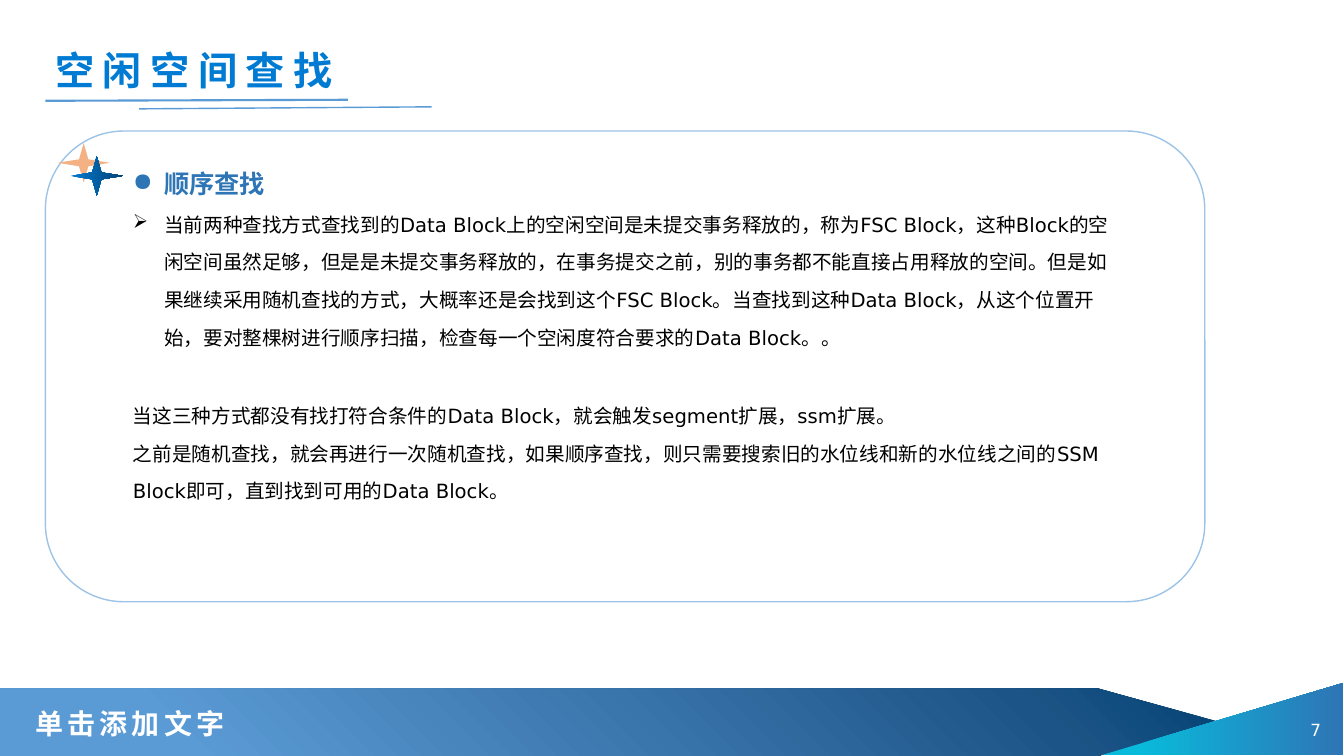
from lxml.etree import SubElement
from pptx import Presentation
from pptx.dml.color import RGBColor
from pptx.enum.shapes import MSO_CONNECTOR, MSO_SHAPE
from pptx.enum.text import MSO_ANCHOR, MSO_AUTO_SIZE, PP_ALIGN
from pptx.oxml.ns import qn
from pptx.util import Inches, Pt

WHITE = RGBColor(0xFF, 0xFF, 0xFF)
BLACK = RGBColor(0, 0, 0)
BRIGHT = RGBColor(0x00, 0x7B, 0xD3)
NAVY = RGBColor(0x03, 0x43, 0x73)
DEEP = RGBColor(0x1D, 0x54, 0x87)
MID = RGBColor(0x2E, 0x75, 0xB6)
SKY = RGBColor(0x5B, 0x9B, 0xD5)
PALE = RGBColor(0x9D, 0xC3, 0xE6)
CYAN = RGBColor(0x09, 0xBB, 0xDB)
PEACH = RGBColor(0xF4, 0xB1, 0x83)


def add_block(kind, box, stops):
    sp = s.shapes.add_shape(kind, *[Inches(v) for v in box])
    sp.shadow.inherit = False
    sp.line.fill.background()
    if len(stops) == 1:
        sp.fill.solid()
        sp.fill.fore_color.rgb = stops[0][1]
        return sp
    sp.fill.gradient()
    grad = sp._element.spPr.find(qn("a:gradFill"))
    for child in list(grad):
        grad.remove(child)
    gs_lst = SubElement(grad, qn("a:gsLst"))
    for pos, color in stops:
        gs = SubElement(gs_lst, qn("a:gs"), pos=str(pos * 1000))
        SubElement(gs, qn("a:srgbClr"), val=str(color))
    if kind == MSO_SHAPE.PENTAGON:
        center = SubElement(grad, qn("a:path"), {"path": "circle"})
        SubElement(center, qn("a:fillToRect"), t="100000", r="100000")
    else:
        angle = "5400000" if kind == MSO_SHAPE.RIGHT_TRIANGLE else "0"
        SubElement(grad, qn("a:lin"), ang=angle, scaled="0")
    return sp


def write(sp, box, paragraphs, wrap=True, anchor=MSO_ANCHOR.TOP):
    sp.left, sp.top, sp.width, sp.height = [Inches(v) for v in box]
    tf = sp.text_frame
    tf.word_wrap = wrap
    tf.auto_size = MSO_AUTO_SIZE.SHAPE_TO_FIT_TEXT
    tf.vertical_anchor = anchor
    for i, (text, size, color, bold, spacing, align, bullet, tracking) in enumerate(paragraphs):
        p = tf.add_paragraph() if i else tf.paragraphs[0]
        if bullet:
            pPr = p._p.get_or_add_pPr()
            pPr.set("marL", str(Inches(0.31)))
            pPr.set("indent", str(-Inches(0.31)))
            SubElement(pPr, qn("a:buChar"), char=bullet)
        p.alignment = align
        p.line_spacing = spacing
        p.space_before = Pt(0)
        r = p.add_run()
        r.text = text
        for name, value in {"name": "DejaVu Sans", "size": Pt(size), "bold": bold}.items():
            setattr(r.font, name, value)
        r.font.color.rgb = color
        if tracking:
            r._r.get_or_add_rPr().set("spc", str(tracking * 100))


prs = Presentation()
prs.slide_width, prs.slide_height = Inches(13.33), Inches(7.5)
s = prs.slides.add_slide(prs.slide_layouts[5])
LEFT = PP_ALIGN.LEFT

band = add_block(MSO_SHAPE.PENTAGON, (0, 6.83, 12.1, 0.67), [(15, SKY), (84, DEEP), (100, NAVY)])
band.adjustments[0] = 1.81
corner = add_block(MSO_SHAPE.RIGHT_TRIANGLE, (11.76, 5.93, 0.72, 2.41), [(15, CYAN), (100, MID)])
corner.rotation = 270

write(s.shapes.add_textbox(0, 0, 0, 0), (12.53, 7.04, 0.67, 0.4),
      [("7", 12, WHITE, False, 1.0, PP_ALIGN.RIGHT, None, 0)], anchor=MSO_ANCHOR.MIDDLE)
write(s.shapes.title, (0.45, 0.41, 3.03, 0.57),
      [("空闲空间查找", 28, BRIGHT, True, 1.0, LEFT, None, 6)], False, MSO_ANCHOR.MIDDLE)

for x1, y1, x2, y2, width in [(0.45, 1, 3.45, 0.99, 1.5), (1.38, 1.08, 4.28, 1.06, 1)]:
    rule = s.shapes.add_connector(MSO_CONNECTOR.STRAIGHT, *[Inches(v) for v in (x1, y1, x2, y2)])
    rule.line.color.rgb = SKY
    rule.line.width = Pt(width)
    SubElement(rule._element.spPr, qn("a:effectLst"))

write(s.shapes.add_textbox(0, 0, 0, 0), (0.25, 6.96, 2.13, 0.44),
      [("单击添加文字", 20, WHITE, True, 1.0, LEFT, None, 3)], False, MSO_ANCHOR.MIDDLE)

panel = add_block(MSO_SHAPE.ROUNDED_RECTANGLE, (0.45, 1.3, 11.5, 4.67), [(0, WHITE)])
panel.line.color.rgb = PALE
panel.line.width = Pt(1)

write(s.shapes.add_textbox(0, 0, 0, 0), (1.22, 1.47, 9.89, 2.06), [
    ("顺序查找", 18, MID, True, 1.5, LEFT, "●", 0),
    ("当前两种查找方式查找到的Data Block上的空闲空间是未提交事务释放的，称为FSC Block，"
     "这种Block的空闲空间虽然足够，但是是未提交事务释放的，在事务提交之前，"
     "别的事务都不能直接占用释放的空间。但是如果继续采用随机查找的方式，"
     "大概率还是会找到这个FSC Block。当查找到这种Data Block，从这个位置开始，"
     "要对整棵树进行顺序扫描，检查每一个空闲度符合要求的Data Block。。",
     14, BLACK, False, 1.6, LEFT, "➢", 0),
])

for x, y, stops in [(0.57, 1.42, [(0, PEACH)]), (0.7, 1.55, [(0, BRIGHT), (100, NAVY)])]:
    add_block(MSO_SHAPE.STAR_4_POINT, (x, y, 0.52, 0.39), stops)

write(s.shapes.add_textbox(0, 0, 0, 0), (1.22, 3.82, 9.89, 1.23), [
    (text, 14, BLACK, False, 1.6, LEFT, None, 0) for text in (
        "当这三种方式都没有找打符合条件的Data Block，就会触发segment扩展，ssm扩展。",
        "之前是随机查找，就会再进行一次随机查找，如果顺序查找，"
        "则只需要搜索旧的水位线和新的水位线之间的SSM Block即可，直到找到可用的Data Block。",
    )
])

prs.save("out.pptx")
